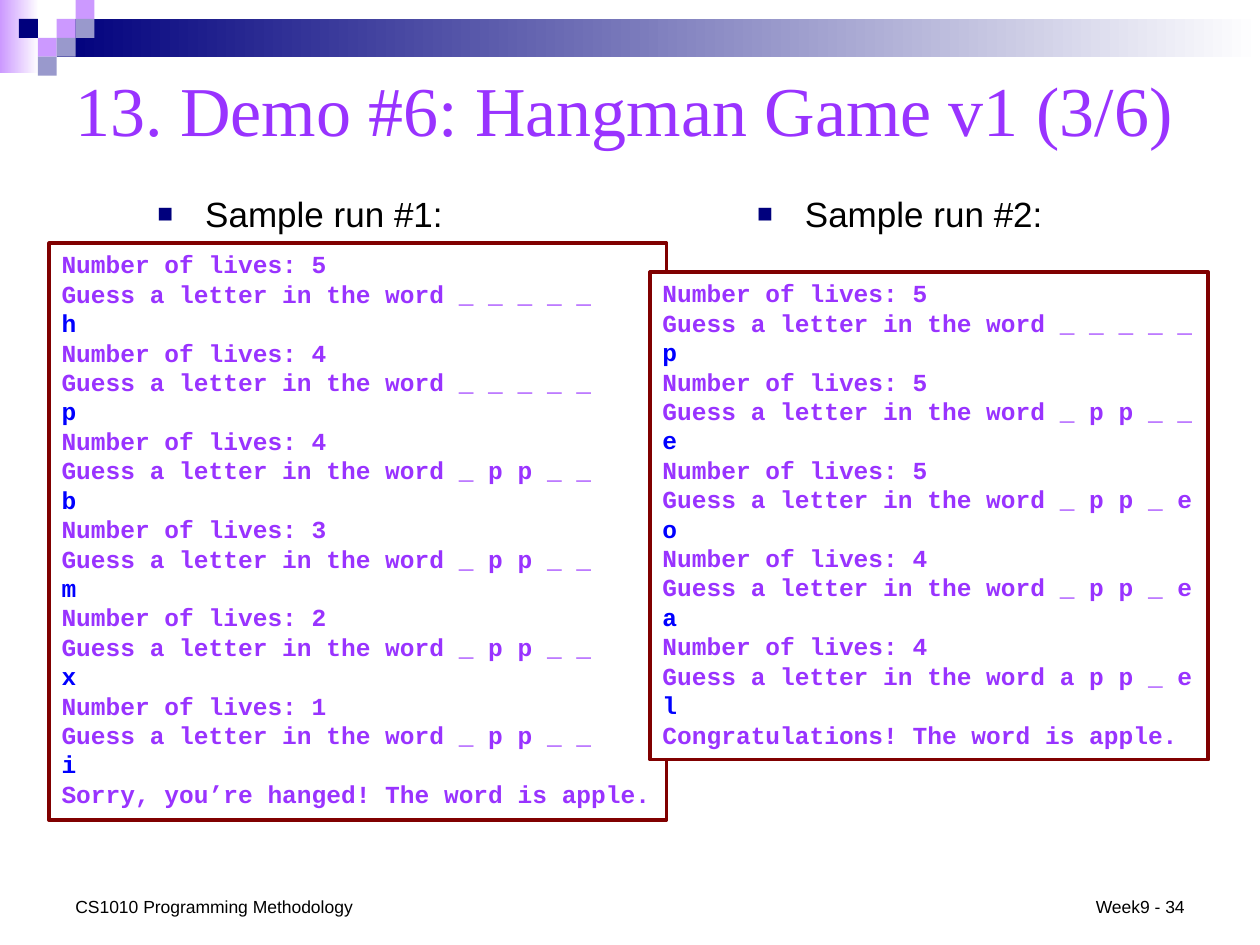
from typing import NamedTuple

from lxml import etree
from pptx import Presentation
from pptx.dml.color import RGBColor
from pptx.enum import shapes, text
from pptx.oxml import ns
from pptx.util import Inches, Pt

NAVY, LILAC, GREY_BLUE = "00007D", "CC99FF", "9999CC"
PURPLE, BLUE, MAROON = "9933FF", "0000FF", "800000"
BLACK, WHITE = "000000", "FFFFFF"


class Area(NamedTuple):
    left: float
    top: float
    width: float
    height: float


class Turn(NamedTuple):
    lives: int
    word: str
    guess: str


class SampleRun(NamedTuple):
    heading: str
    heading_area: Area
    screen_area: Area
    turns: list[Turn]
    ending: str


BANDS = [
    (Area(0, 0, 0.31, 0.58), LILAC),
    (Area(0.45, 0.15, 9.55, 0.3), NAVY),
]
TILE = 0.15
TILES = [  # column, row, colour
    (3, 1, LILAC), (4, 0, LILAC), (4, 1, GREY_BLUE), (2, 2, LILAC),
    (1, 1, NAVY), (3, 2, GREY_BLUE), (2, 3, GREY_BLUE),
]
RUNS = [
    SampleRun(
        "Sample run #1:", Area(1.15, 1.48, 2.48, 0.44), Area(0.39, 1.93, 4.9, 4.58),
        [Turn(5, "_ _ _ _ _", "h"), Turn(4, "_ _ _ _ _", "p"),
         Turn(4, "_ p p _ _", "b"), Turn(3, "_ p p _ _", "m"),
         Turn(2, "_ p p _ _", "x"), Turn(1, "_ p p _ _", "i")],
        "Sorry, you’re hanged! The word is apple."),
    SampleRun(
        "Sample run #2:", Area(5.91, 1.48, 2.48, 0.44), Area(5.16, 2.16, 4.43, 3.87),
        [Turn(5, "_ _ _ _ _", "p"), Turn(5, "_ p p _ _", "e"),
         Turn(5, "_ p p _ e", "o"), Turn(4, "_ p p _ e", "a"),
         Turn(4, "a p p _ e", "l")],
        "Congratulations! The word is apple."),
]


def colour(value: str) -> RGBColor:
    return RGBColor.from_string(value)


def emu(area: Area) -> list[int]:
    return [Inches(length) for length in area]


def add_rectangle(page, area: Area):
    box = page.shapes.add_shape(shapes.MSO_SHAPE.RECTANGLE, *emu(area))
    box.shadow.inherit = False
    box.line.fill.background()
    return box


def add_tile(page, area: Area, fill: str) -> None:
    box = add_rectangle(page, area)
    box.fill.solid()
    box.fill.fore_color.rgb = colour(fill)


def add_fading_band(page, area: Area, start: str) -> None:
    box = add_rectangle(page, area)
    box.fill.gradient()
    box.fill.gradient_angle = 0
    for stop, value, position in zip(box.fill.gradient_stops, (start, WHITE), (0, 1)):
        stop.color.rgb = colour(value)
        stop.position = position


def format_text(para, font: str, size: float, value: str, bold: bool = False) -> None:
    for span in para.runs:
        span.font.name = font
        span.font.size = Pt(size)
        span.font.bold = bold
        span.font.color.rgb = colour(value)


def add_label(page, area: Area, words: str, font: str, size: float, value: str,
              anchor=text.MSO_ANCHOR.TOP, align=text.PP_ALIGN.LEFT):
    frame = page.shapes.add_textbox(*emu(area)).text_frame
    frame.word_wrap = True
    frame.vertical_anchor = anchor
    frame.text = words
    para = frame.paragraphs[0]
    para.alignment = align
    format_text(para, font, size, value)
    return para


def add_bullet(para) -> None:
    properties = para._p.get_or_add_pPr()
    properties.set("marL", str(Inches(0.38)))
    properties.set("indent", str(Inches(-0.38)))
    bullet_colour = etree.SubElement(properties, ns.qn("a:buClr"))
    etree.SubElement(bullet_colour, ns.qn("a:srgbClr"), val=NAVY)
    etree.SubElement(properties, ns.qn("a:buSzPct"), val="75000")
    etree.SubElement(properties, ns.qn("a:buFont"), typeface="Arial")
    etree.SubElement(properties, ns.qn("a:buChar"), char="■")


def add_screen(page, run: SampleRun) -> None:
    """Draw the framed console output, with the player's guesses in blue."""
    box = add_rectangle(page, run.screen_area)
    box.fill.solid()
    box.fill.fore_color.rgb = colour(WHITE)
    box.line.color.rgb = colour(MAROON)
    box.line.width = Pt(2)
    lines = []
    for turn in run.turns:
        lines += [(f"Number of lives: {turn.lives}", PURPLE),
                  (f"Guess a letter in the word {turn.word}", PURPLE),
                  (turn.guess, BLUE)]
    lines.append((run.ending, PURPLE))
    frame = box.text_frame
    frame.word_wrap = True
    frame.vertical_anchor = text.MSO_ANCHOR.TOP
    frame.text = "\n".join(words for words, _ in lines)
    for para, (_, value) in zip(frame.paragraphs, lines):
        para.alignment = text.PP_ALIGN.LEFT
        format_text(para, "Courier New", 14, value, bold=True)


def main() -> None:
    deck = Presentation()
    deck.slide_width, deck.slide_height = Inches(10), Inches(7.5)
    page = deck.slides.add_slide(deck.slide_layouts[6])

    for area, start in BANDS:
        add_fading_band(page, area, start)
    for column, row, fill in TILES:
        add_tile(page, Area(column * TILE, row * TILE, TILE, TILE), fill)

    add_label(page, Area(0.5, 0.42, 9, 0.88), "13. Demo #6: Hangman Game v1 (3/6)",
              "Times New Roman", 40, PURPLE, text.MSO_ANCHOR.MIDDLE)
    for run in RUNS:
        add_screen(page, run)
        add_bullet(add_label(page, run.heading_area, run.heading, "Arial", 20, BLACK))

    bottom = text.MSO_ANCHOR.BOTTOM
    add_label(page, Area(0.5, 7.06, 2.42, 0.27), "CS1010 Programming Methodology",
              "Arial", 10, BLACK, bottom)
    add_label(page, Area(8.51, 7.06, 0.99, 0.27), "Week9 - 34",
              "Arial", 10, BLACK, bottom, text.PP_ALIGN.RIGHT)
    deck.save("out.pptx")


if __name__ == "__main__":
    main()
